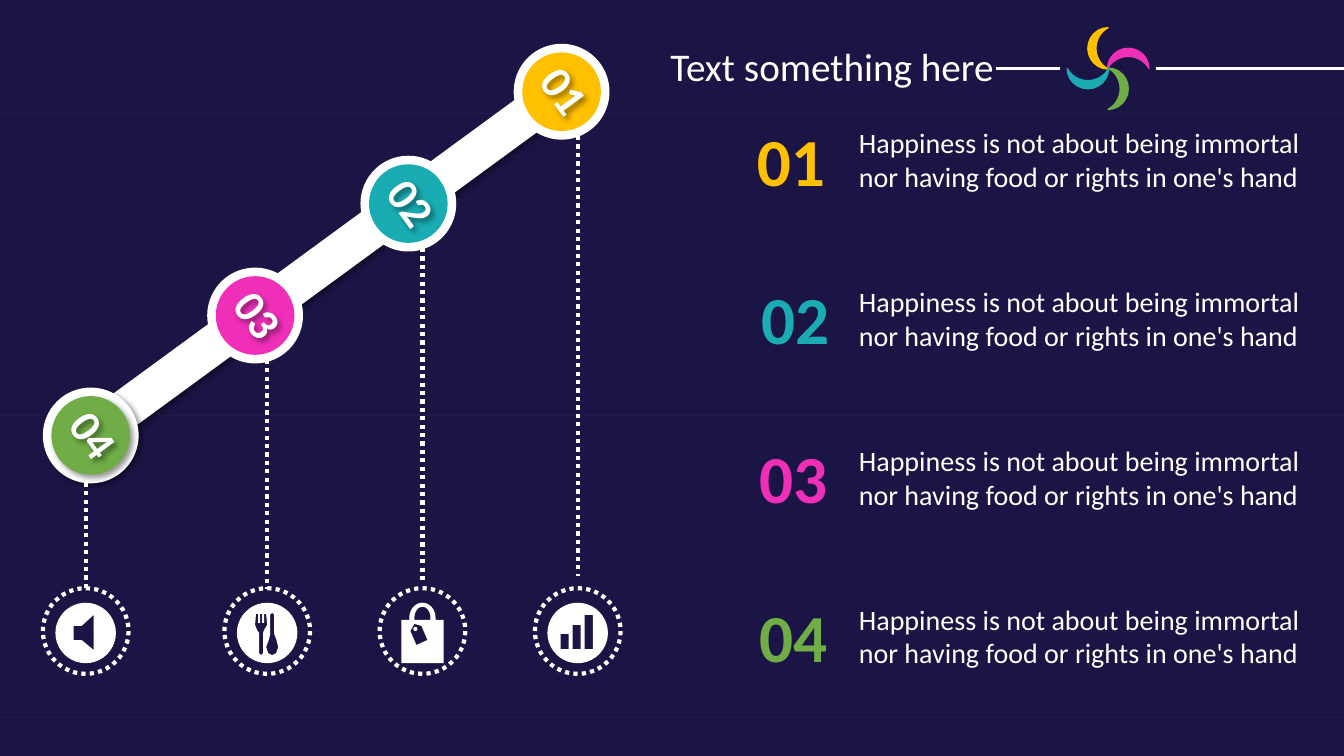
import math

import pptx
import pptx.dml.color
import pptx.enum.dml
import pptx.enum.shapes
import pptx.enum.text
import pptx.oxml
import pptx.oxml.ns
import pptx.util
from lxml import etree

Inches = pptx.util.Inches
SHAPE = pptx.enum.shapes.MSO_SHAPE
DOT = pptx.enum.dml.MSO_LINE.ROUND_DOT
WHITE, NAVY, GREY = "FFFFFF", "1B1546", "808080"
YELLOW, TEAL, PINK, GREEN = "FFC000", "19ACB3", "EF2FB8", "70AD47"
COLORS = [YELLOW, TEAL, PINK, GREEN]
TILT = 53.8
BODY = "Happiness is not about being immortal nor having food or rights in one's hand"


def rgb(value):
    return pptx.dml.color.RGBColor.from_string(value)


def add_sub(parent, tag, **attrs):
    return etree.SubElement(parent, pptx.oxml.ns.qn(tag), attrs)


def add_shadow(sp):
    sp.shadow.inherit = False
    effects = sp._element.spPr.find(pptx.oxml.ns.qn("a:effectLst"))
    outer = add_sub(effects, "a:outerShdw", blurRad="50800", dist="38100",
                    dir="2700000", algn="tl", rotWithShape="0")
    add_sub(add_sub(outer, "a:srgbClr", val="000000"), "a:alpha", val="40000")


def style(sp, fill=None, line=None, width=1, dash=None):
    sp.shadow.inherit = False
    if fill:
        sp.fill.solid()
        sp.fill.fore_color.rgb = rgb(fill)
    else:
        sp.fill.background()
    if line:
        sp.line.color.rgb = rgb(line)
        sp.line.width = pptx.util.Pt(width)
        sp.line.dash_style = dash
    else:
        sp.line.fill.background()
    return sp


def add_centred(s, kind, cx, cy, w, h, rotation=0, **fmt):
    sp = s.shapes.add_shape(kind, Inches(cx - w / 2), Inches(cy - h / 2), Inches(w), Inches(h))
    sp.rotation = rotation
    return style(sp, **fmt)


def add_line(s, x1, y1, x2, y2, color=WHITE, width=2.25, dash=None, alpha=None):
    c = s.shapes.add_connector(pptx.enum.shapes.MSO_CONNECTOR.STRAIGHT,
                               Inches(x1), Inches(y1), Inches(x2), Inches(y2))
    c.line.color.rgb = rgb(color)
    c.line.width = pptx.util.Pt(width)
    if dash:
        c.line.dash_style = dash
    if alpha:
        add_sub(c._element.xpath(".//a:ln//a:srgbClr")[0], "a:alpha", val=str(alpha * 1000))
    add_sub(c._element.spPr, "a:effectLst")


def write_text(sp, text, size=20, color=WHITE, bold=False, wrap=True):
    tf = sp.text_frame
    tf.word_wrap = wrap
    tf.auto_size = pptx.enum.text.MSO_AUTO_SIZE.NONE
    tf.vertical_anchor = pptx.enum.text.MSO_ANCHOR.TOP
    p = tf.paragraphs[0]
    p.alignment = pptx.enum.text.PP_ALIGN.LEFT
    r = p.add_run()
    r.text = text
    r.font.name = "Calibri"
    r.font.size = pptx.util.Pt(size)
    r.font.bold = bold
    r.font.color.rgb = rgb(color)


def add_text(s, x, y, w, h, text, **fmt):
    sp = s.shapes.add_textbox(Inches(x), Inches(y), Inches(w), Inches(h))
    write_text(sp, text, **fmt)
    return sp


def arc(cx, cy, rx, ry, start=0, stop=360, steps=40):
    angles = [math.radians(start + (stop - start) * i / steps) for i in range(steps + 1)]
    return [(cx + rx * math.cos(a), cy + ry * math.sin(a)) for a in angles]


def add_glyph(s, cx, cy, contours):
    fb = None
    for contour in contours:
        points = [(Inches(cx + x), Inches(cy + y)) for x, y in contour]
        if fb is None:
            fb = s.shapes.build_freeform(*points[0])
        else:
            fb.move_to(*points[0])
        fb.add_line_segments(points[1:], close=True)
    style(fb.convert_to_shape(), fill=WHITE)


def speaker():
    return [arc(0, 0, 0.3, 0.3),
            [(0.08, 0.17), (-0.04, 0.07), (-0.12, 0.07), (-0.12, -0.07), (-0.04, -0.07), (0.08, -0.18)]]


def cutlery():
    fork = [(-0.03, -0.03), (-0.04, 0), (-0.04, 0.2), (-0.06, 0.22), (-0.08, 0.2), (-0.08, 0),
            (-0.1, -0.03), (-0.12, -0.08), (-0.11, -0.19), (-0.09, -0.19), (-0.09, -0.1),
            (-0.07, -0.1), (-0.07, -0.19), (-0.05, -0.19), (-0.05, -0.1), (-0.03, -0.1),
            (-0.03, -0.19), (-0.01, -0.19), (0, -0.08)]
    spoon = [(0.05, 0.22), (0.01, 0.2), (-0.01, 0.14), (0.02, 0.06), (0.03, 0.01), (0.03, -0.18),
             (0.05, -0.2), (0.07, -0.18), (0.07, 0.01), (0.09, 0.06), (0.11, 0.14), (0.09, 0.2)]
    return [arc(0, 0, 0.3, 0.3), fork, spoon]


def bag():
    outline = [(-0.21, -0.13), (-0.13, -0.13), *arc(0, -0.15, 0.13, 0.15, 180, 360),
               (0.13, -0.13), (0.21, -0.13), (0.21, 0.3), (-0.21, 0.3)]
    handle = [(-0.08, -0.13), *arc(0, -0.15, 0.08, 0.11, 180, 360), (0.08, -0.13)]
    tag = [(-0.06, 0.12), (-0.12, -0.02), (-0.08, -0.09), (-0.01, -0.07), (0.05, 0.07)]
    return [outline, handle, tag, arc(-0.07, -0.04, 0.02, 0.02)]


def bars():
    columns = [(-0.17 + 0.12 * i, top) for i, top in enumerate([0.01, -0.08, -0.18])]
    return [arc(0, 0, 0.3, 0.3)] + [
        [(x, top), (x + 0.08, top), (x + 0.08, 0.16), (x, 0.16)] for x, top in columns]


def draw_background(s, width):
    s.background.fill.solid()
    s.background.fill.fore_color.rgb = rgb(NAVY)
    for i in range(17):
        y = 0.27 + 0.428 * i
        add_line(s, 0, y, width, y, color=GREY, width=0.5, alpha=5)


def draw_header(s, x, y, right):
    title = s.shapes.title
    title.left, title.top, title.width, title.height = map(Inches, (x, y, 3.44, 0.57))
    write_text(title, "Text something here", size=28, wrap=False)
    cx, cy = x + 4.44, y + 0.31
    add_line(s, x + 3.33, cy, x + 3.96, cy)
    add_line(s, x + 4.92, cy, right, cy)
    dx, dy = -0.1, -0.2
    for i, color in enumerate([YELLOW, PINK, GREEN, TEAL]):
        moon = add_centred(s, SHAPE.MOON, cx + dx, cy + dy, 0.2, 0.41, 90 * i, fill=color, line=color)
        moon.adjustments[0] = 0.398
        dx, dy = -dy, dx


def draw_ramp(s, x, y):
    rod = add_centred(s, SHAPE.RECTANGLE, x + 2.98, y + 2.05, 0.39, 6.03, TILT, fill=WHITE)
    add_shadow(rod)
    nodes = [(x + 5.15 - 1.52 * i, y + 0.48 + 1.11 * i) for i in range(3)] + [(x + 0.48, y + 3.89)]
    for i, ((cx, cy), color) in enumerate(zip(nodes, COLORS)):
        for size, fill in [(0.95, WHITE), (0.78, color)]:
            disc = add_centred(s, SHAPE.OVAL, cx, cy, size, size, fill=fill)
            if i == 3:
                add_shadow(disc)
        label = add_text(s, cx - 0.33, cy - 0.25, 0.85, 0.64, f"0{i + 1}", size=32, bold=True)
        label.rotation = TILT
        add_shadow(label)


def draw_icons(s, x, y):
    items = [(0.43, 4.79, 5.84, speaker), (2.23, 3.57, 5.84, cutlery),
             (3.77, 2.46, 5.78, bag), (5.31, 1.35, 5.71, bars)]
    for dx, top, bottom, glyph in items:
        cx = x + dx
        add_line(s, cx, top, cx, bottom, width=3, dash=DOT)
        add_centred(s, SHAPE.OVAL, cx, y, 0.85, 0.85, line=WHITE, width=3, dash=DOT)
        add_glyph(s, cx, y + 0.02, glyph())


def draw_list(s, x, y):
    for i, (color, dx) in enumerate(zip(COLORS, [0, 0.04, 0.02, 0.02])):
        top = y + 1.575 * i
        add_text(s, x + dx, top, 1.14, 0.91, f"0{i + 1}", size=48, color=color, bold=True)
        add_text(s, x + 1.01, top + 0.07, 4.69, 0.77, BODY)


def main():
    prs = pptx.Presentation()
    prs.slide_width, prs.slide_height = Inches(13.33), Inches(7.5)
    s = prs.slides.add_slide(prs.slide_layouts[5])
    draw_background(s, 13.33)
    draw_header(s, 6.55, 0.37, 13.33)
    draw_ramp(s, 0.42, 0.43)
    draw_icons(s, 0.42, 6.26)
    draw_list(s, 7.41, 1.13)
    prs.save("out.pptx")


if __name__ == "__main__":
    main()
